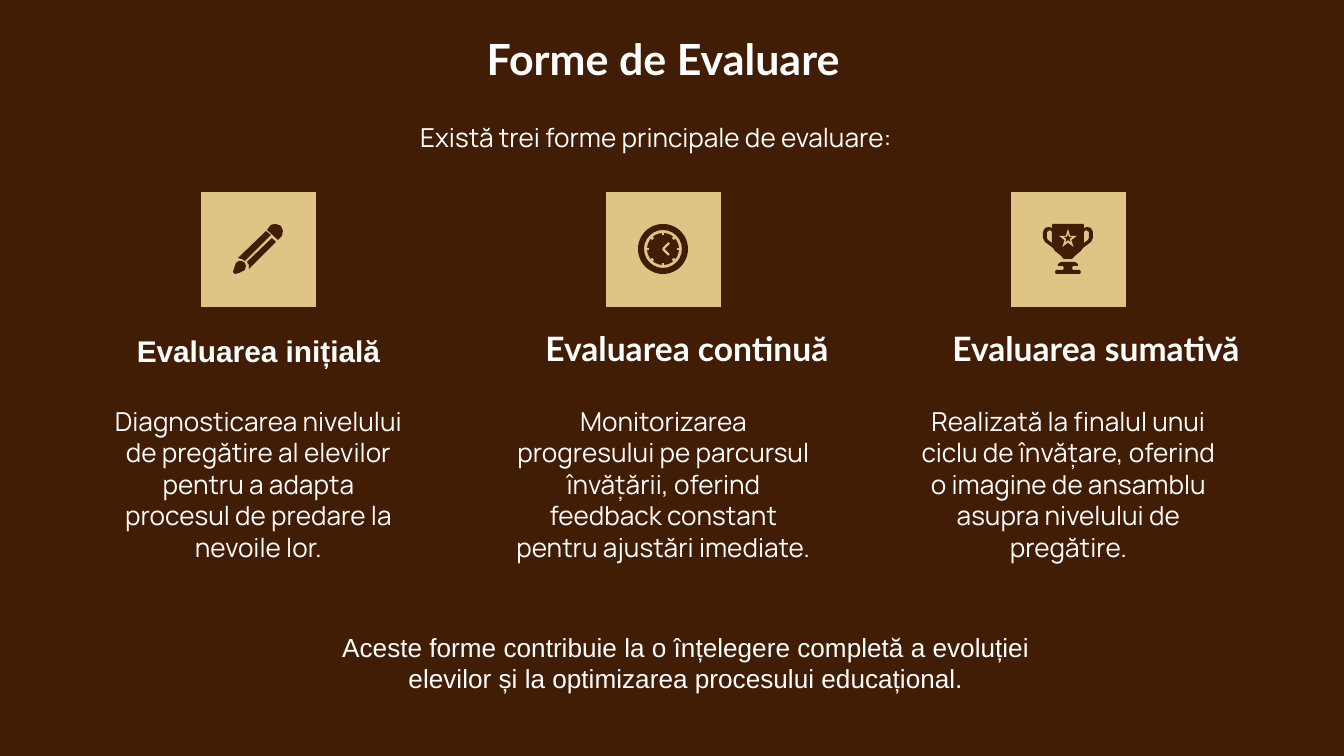
from copy import deepcopy
from math import cos, pi, sin

from lxml.etree import SubElement
from pptx import Presentation
from pptx.dml.color import RGBColor
from pptx.enum.shapes import MSO_CONNECTOR, MSO_SHAPE
from pptx.enum.text import MSO_ANCHOR, MSO_AUTO_SIZE, PP_ALIGN
from pptx.oxml.ns import qn
from pptx.util import Pt

TITLE = "Forme de Evaluare"
INTRO = "Există trei forme principale de evaluare:"
CLOSING = ("Aceste forme contribuie la o înțelegere completă a evoluției "
           "elevilor și la optimizarea procesului educațional.")
# heading, heading font, heading size, heading box (left, width), description
FORMS = [
    ("Evaluarea inițială", "Arial", 16, (97, 323),
     "Diagnosticarea nivelului de pregătire al elevilor pentru a adapta "
     "procesul de predare la nevoile lor."),
    ("Evaluarea continuă", "Lato", 18, (480, 414),
     "Monitorizarea progresului pe parcursul învățării, oferind feedback "
     "constant pentru ajustări imediate."),
    ("Evaluarea sumativă", "Lato", 18, (907, 378),
     "Realizată la finalul unui ciclu de învățare, oferind o imagine de "
     "ansamblu asupra nivelului de pregătire."),
]

# Icon outlines, in px inside a 50 x 50 square
PENCIL_PARTS = [
    [(33, 7), (5, 34), (9, 35), (12, 37), (38, 11)],
    [(42, 0), (38, 1), (34, 6), (45, 16), (49, 12), (50, 7), (48, 2), (46, 1)],
    [(39, 14), (14, 38), (16, 41), (16, 45), (43, 18)],
    [(6, 37), (3, 39), (0, 48), (2, 50), (6, 49), (12, 46), (13, 42), (12, 39), (9, 37)],
]
CUP_RIGHT_HALF = [(40, 0), (41, 1), (41, 4), (44, 3), (48, 4), (50, 8), (50, 14),
                  (48, 18), (40, 24), (38, 27), (33, 31), (29, 35)]
RIGHT_HANDLE_HOLE = [(41, 8), (43, 6), (46, 8), (46, 14), (45, 16), (41, 19)]
BASE_RIGHT_HALF = [(32, 38), (35, 40), (35, 42), (30, 42), (29, 44), (30, 46),
                   (37, 46), (38, 48), (37, 50)]

THEME = {
    "background": "411D06", "tile": "E0C485", "text": "FFFFFF",
    "title_font": "Lato", "body_font": "Manrope", "closing_font": "Arial",
    "title_size": 23, "body_size": 14,
}

PX = 914400 / 134.4
COLUMN_LEFT, COLUMN_STEP, COLUMN_WIDTH = 97, 405, 323
TILE_INDENT, TILE_TOP, TILE_SIZE = 104, 192, 115
ICON_INSET, ICON_SIZE = 32, 50


def px(*lengths):
    return [round(length * PX) for length in lengths]


def color(name):
    return RGBColor.from_string(THEME[name])


def write(shape, text, box=None, font=THEME["body_font"], size=THEME["body_size"],
          bold=False, align=PP_ALIGN.CENTER, anchor=MSO_ANCHOR.TOP,
          indent=0, line_spacing=1.0):
    if box:
        shape.left, shape.top, shape.width, shape.height = px(*box)
    frame = shape.text_frame
    frame.word_wrap = True
    frame.auto_size = MSO_AUTO_SIZE.NONE
    frame.vertical_anchor = anchor
    frame.margin_left = frame.margin_right = 91440
    frame.margin_top = frame.margin_bottom = 91440
    paragraph = frame.paragraphs[0]
    paragraph.alignment = align
    paragraph.space_before = Pt(0)
    paragraph.line_spacing = line_spacing
    if indent:
        paragraph._p.get_or_add_pPr().set("marL", str(px(indent)[0]))
    run = paragraph.add_run()
    run.text = text
    run.font.name, run.font.size, run.font.bold = font, Pt(size), bold
    run.font.color.rgb = color("text")


def paint(shape, fill):
    shape.shadow.inherit = False
    shape.fill.solid()
    shape.fill.fore_color.rgb = color(fill)
    shape.line.fill.background()


def add_preset(slide, kind, left, top, size, fill="background"):
    shape = slide.shapes.add_shape(kind, *px(left, top, size, size))
    paint(shape, fill)
    return shape


def add_outline(slide, left, top, *contours):
    """Draw one filled shape; contours after the first cut holes in it."""
    first, *holes = contours
    builder = slide.shapes.build_freeform(*first[0], scale=PX)
    builder.add_line_segments(first[1:], close=True)
    for hole in holes:
        builder.move_to(*hole[0])
        builder.add_line_segments(hole[1:], close=True)
    paint(builder.convert_to_shape(*px(left, top)), "background")


def add_stroke(slide, start, end, width):
    line = slide.shapes.add_connector(MSO_CONNECTOR.STRAIGHT, *px(*start, *end))
    line.line.color.rgb = color("tile")
    line.line.width = Pt(width)
    SubElement(line._element.spPr, qn("a:effectLst"))


def mirror(points):
    return [(ICON_SIZE - x, y) for x, y in reversed(points)]


def draw_pencil(slide, left, top):
    for part in PENCIL_PARTS:
        add_outline(slide, left, top, part)


def draw_clock(slide, left, top):
    ring = add_preset(slide, MSO_SHAPE.DONUT, left, top, ICON_SIZE)
    ring.adjustments[0] = 0.12
    add_preset(slide, MSO_SHAPE.OVAL, left + 9, top + 9, 32)
    center_x, center_y = left + 25, top + 25
    for step in range(8):
        across, down = cos(step * pi / 4), sin(step * pi / 4)
        add_stroke(slide, (center_x + 14 * across, center_y + 14 * down),
                   (center_x + 17 * across, center_y + 17 * down), 1.5)
    for hand_end in (-6, 6):
        add_stroke(slide, (center_x, center_y),
                   (center_x + 6, center_y + hand_end), 1.25)


def draw_trophy(slide, left, top):
    add_outline(slide, left, top, CUP_RIGHT_HALF + mirror(CUP_RIGHT_HALF),
                RIGHT_HANDLE_HOLE, mirror(RIGHT_HANDLE_HOLE))
    add_outline(slide, left, top, BASE_RIGHT_HALF + mirror(BASE_RIGHT_HALF))
    add_preset(slide, MSO_SHAPE.STAR_5_POINT, left + 16, top + 5, 18, "tile")
    add_preset(slide, MSO_SHAPE.STAR_5_POINT, left + 21, top + 10, 8)


def add_subtitles(slide, count):
    """Return the layout's subtitle placeholder followed by copies of it."""
    subtitle = slide.placeholders[1]
    for number in range(1, count):
        element = deepcopy(subtitle._element)
        identity = element.nvSpPr.cNvPr
        identity.set("id", str(subtitle.shape_id + number))
        identity.set("name", f"Subtitle {number + 1}")
        slide.shapes._spTree.append(element)
    return [shape for shape in slide.placeholders if shape != slide.shapes.title]


def main():
    presentation = Presentation()
    presentation.slide_width, presentation.slide_height = px(1344, 756)
    slide = presentation.slides.add_slide(presentation.slide_layouts[0])
    slide.background.fill.solid()
    slide.background.fill.fore_color.rgb = color("background")

    write(slide.shapes.title, TITLE, (97, 19, 1133, 85),
          font=THEME["title_font"], size=THEME["title_size"], bold=True)
    subtitles = add_subtitles(slide, 2 * len(FORMS))
    icons = (draw_pencil, draw_clock, draw_trophy)
    for column, (form, draw_icon) in enumerate(zip(FORMS, icons)):
        heading, font, size, (heading_left, heading_width), description = form
        left = COLUMN_LEFT + column * COLUMN_STEP
        write(subtitles[2 * column], heading, (heading_left, 316, heading_width, 66),
              font=font, size=size, bold=True, anchor=MSO_ANCHOR.BOTTOM)
        write(subtitles[2 * column + 1], description, (left, 392, COLUMN_WIDTH, 147))
        tile_left = left + TILE_INDENT
        add_preset(slide, MSO_SHAPE.RECTANGLE, tile_left, TILE_TOP, TILE_SIZE, "tile")
        draw_icon(slide, tile_left + ICON_INSET, TILE_TOP + ICON_INSET)

    write(slide.shapes.add_textbox(*px(340, 103, 646, 59)), INTRO,
          align=PP_ALIGN.LEFT, indent=67, line_spacing=1.15)
    write(slide.shapes.add_textbox(*px(289, 618, 794, 90)), CLOSING,
          font=THEME["closing_font"])
    presentation.save("out.pptx")


if __name__ == "__main__":
    main()
